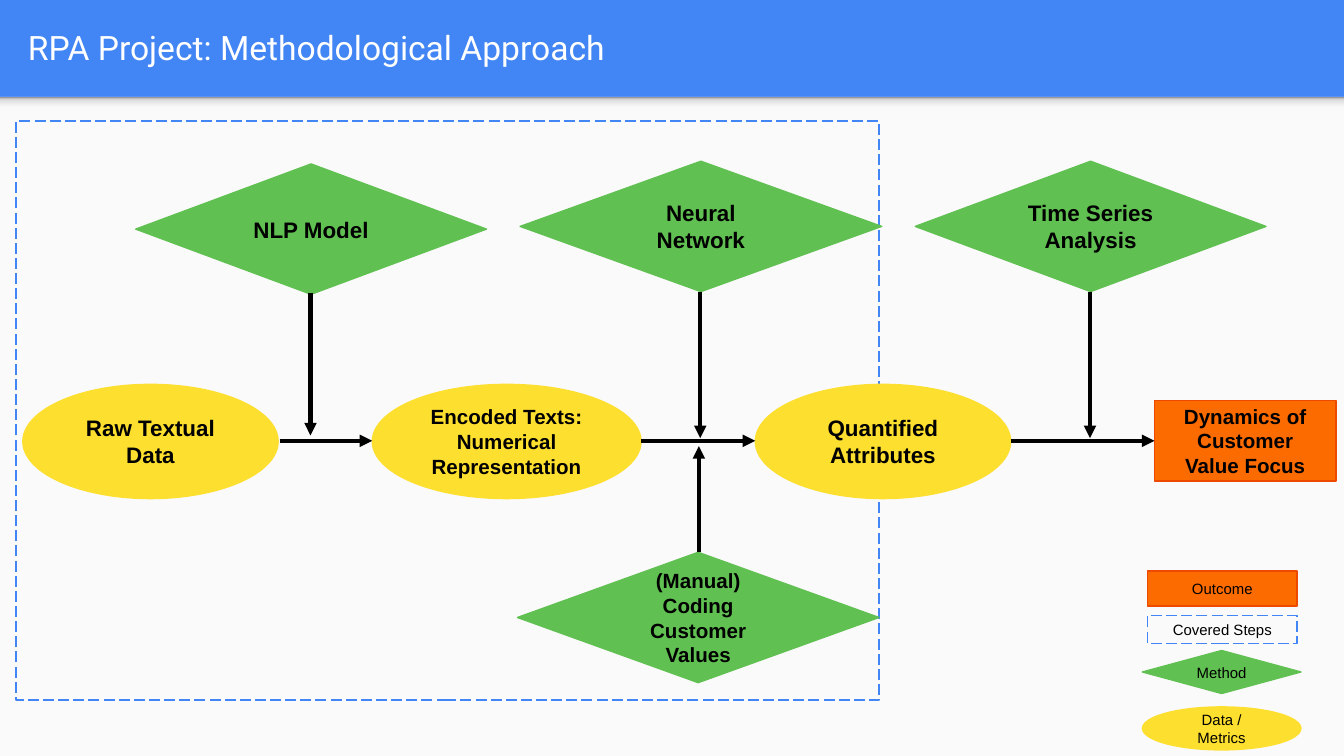
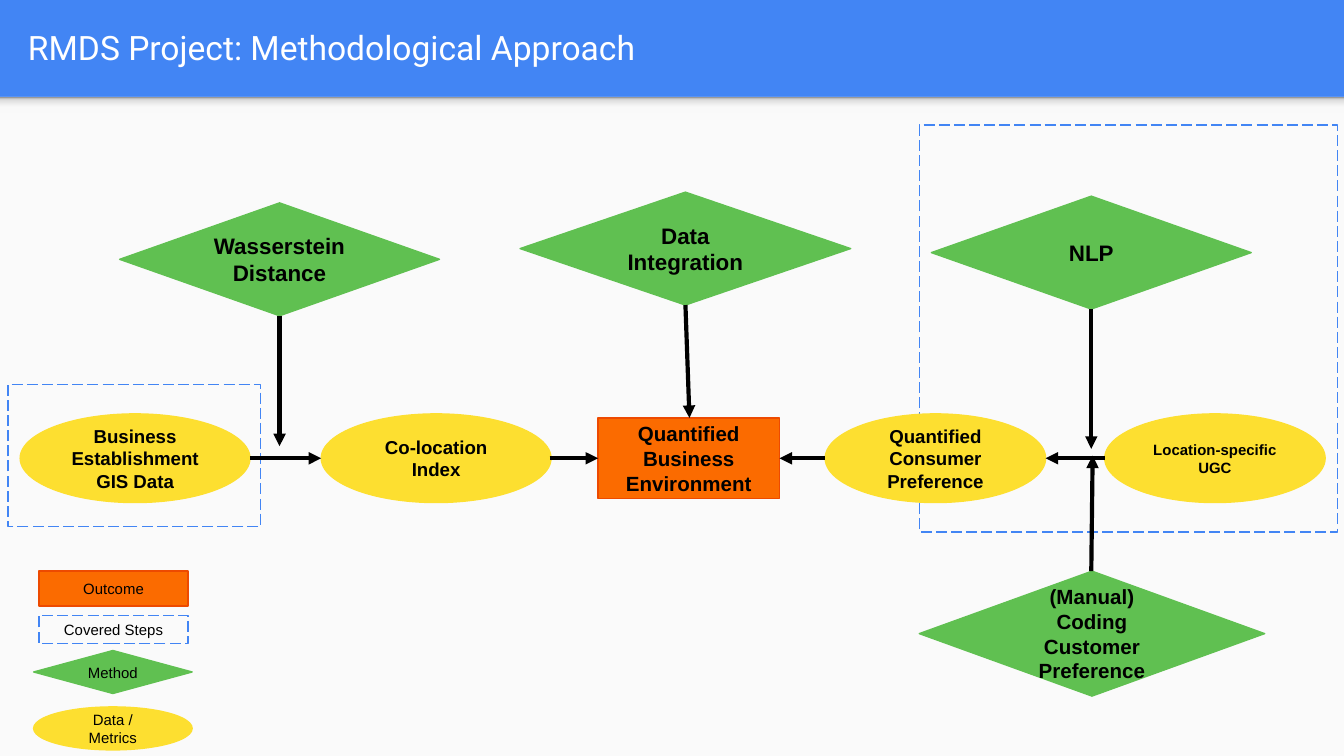
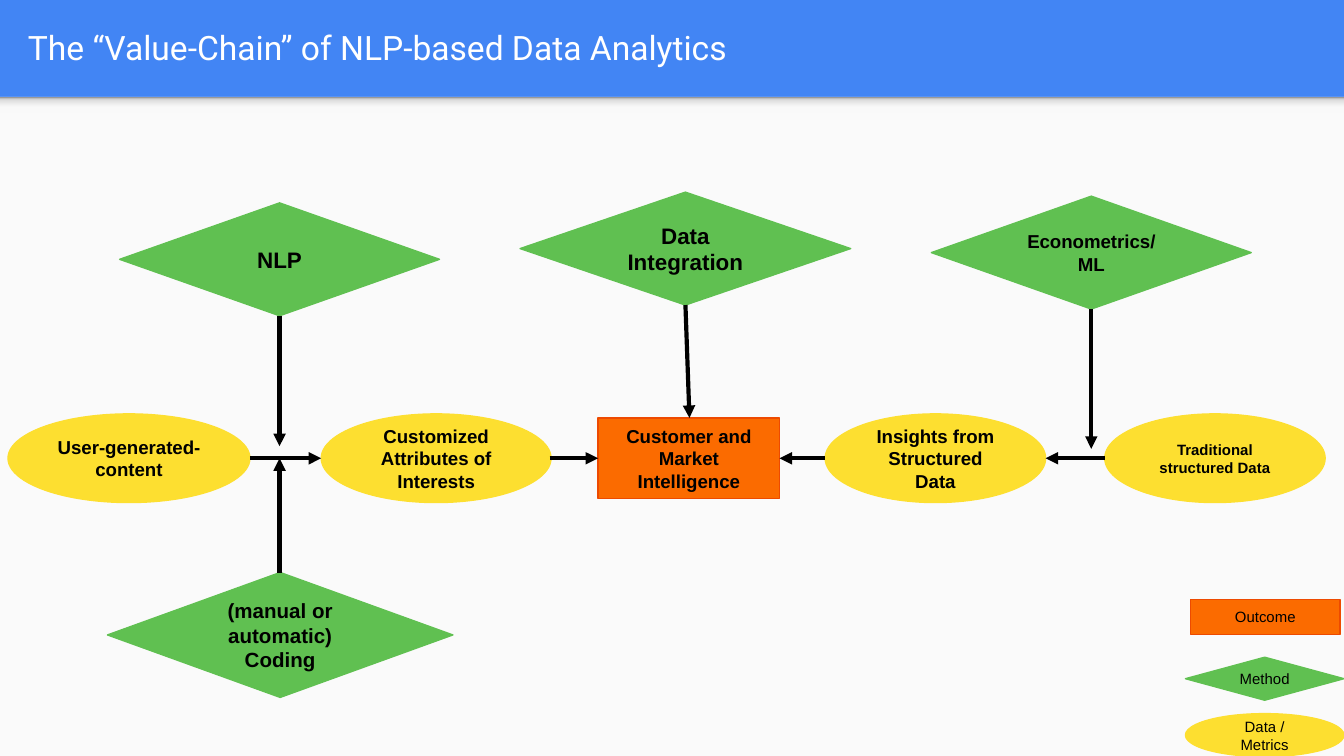
from pptx import Presentation
from pptx.dml.color import RGBColor
from pptx.enum.dml import MSO_LINE
from pptx.enum.shapes import MSO_CONNECTOR, MSO_SHAPE
from pptx.enum.text import MSO_ANCHOR, PP_ALIGN
from pptx.oxml.ns import qn
from pptx.util import Inches, Pt
from lxml.etree import SubElement

BLUE, PAPER, WHITE, BLACK = "4285F4", "FAFAFA", "FFFFFF", "000000"
YELLOW, GREEN, ORANGE, RUST = "FDDF30", "60C051", "FB6B00", "ED4A00"
SHADE = [(0, "F9F9F9"), (36, "F9F9F9"), (80, "DEDEDE"), (100, "999999")]
WIDTH, BAND = 10, 0.72
HEIGHT = WIDTH * 9 / 16


def rgb(value):
    return RGBColor.from_string(value)


class Deck:
    """Holds the flowchart style and draws on the current slide."""

    def __init__(self):
        self.prs = Presentation()
        self.prs.slide_width, self.prs.slide_height = Inches(WIDTH), Inches(HEIGHT)

    def slide(self, title):
        s = self.prs.slides.add_slide(self.prs.slide_layouts[6])
        self.shapes = s.shapes
        s.background.fill.solid()
        s.background.fill.fore_color.rgb = rgb(BLUE)
        self.shape(MSO_SHAPE.RECTANGLE, (0, BAND, WIDTH, HEIGHT - BAND), PAPER)
        self.shade()
        tb = s.shapes.add_textbox(*map(Inches, (0.11, 0.02, 9.65, 0.66)))
        self.text(tb.text_frame, title, 18, False, "Roboto", WHITE, PP_ALIGN.LEFT)

    def shade(self):
        sp = self.shape(MSO_SHAPE.RECTANGLE, (0, BAND, WIDTH, 0.12), PAPER)
        sp.fill.gradient()
        sp.fill.gradient_angle = 90
        stops = sp._element.spPr.find(qn("a:gradFill")).find(qn("a:gsLst"))
        for old in list(stops):
            stops.remove(old)
        for pos, color in SHADE:
            gs = SubElement(stops, qn("a:gs"), pos=str(pos * 1000))
            SubElement(gs, qn("a:srgbClr"), val=color)

    def text(self, tf, text, size, bold, font="Arial", color=BLACK, align=PP_ALIGN.CENTER):
        tf.word_wrap = True
        tf.vertical_anchor = MSO_ANCHOR.MIDDLE
        tf.margin_left = tf.margin_right = tf.margin_top = tf.margin_bottom = Inches(0.1)
        tf.text = text
        for p in tf.paragraphs:
            p.alignment = align
            p.font.name, p.font.size, p.font.bold = font, Pt(size), bold
            p.font.color.rgb = rgb(color)

    def shape(self, kind, box, fill=None, line=None, text="", size=12, bold=True):
        sp = self.shapes.add_shape(kind, *map(Inches, box))
        sp.shadow.inherit = False
        if fill:
            sp.fill.solid()
            sp.fill.fore_color.rgb = rgb(fill)
        else:
            sp.fill.background()
        if line:
            sp.line.color.rgb = rgb(line)
            sp.line.width = Pt(0.75)
        else:
            sp.line.fill.background()
        if text:
            self.text(sp.text_frame, text, size, bold)
        return sp

    def data(self, box, text, size=12, bold=True):
        self.shape(MSO_SHAPE.OVAL, box, YELLOW, YELLOW, text, size, bold)

    def method(self, box, text, size=12, bold=True):
        self.shape(MSO_SHAPE.DIAMOND, box, GREEN, GREEN, text, size, bold)

    def outcome(self, box, text, size=11, bold=True):
        self.shape(MSO_SHAPE.RECTANGLE, box, ORANGE, RUST, text, size, bold)

    def covered(self, box, text=""):
        sp = self.shape(MSO_SHAPE.RECTANGLE, box, None, BLUE, text, 8, False)
        sp.line.dash_style = MSO_LINE.LONG_DASH

    def arrow(self, *ends):
        c = self.shapes.add_connector(MSO_CONNECTOR.STRAIGHT, *map(Inches, ends))
        c.line.color.rgb = rgb(BLACK)
        c.line.width = Pt(2.25)
        SubElement(c.line._get_or_add_ln(), qn("a:tailEnd"), type="triangle")
        SubElement(c._element.spPr, qn("a:effectLst"))

    def legend(self, x, y, covered=True):
        slide_shapes = self.shapes
        self.shapes = slide_shapes.add_group_shape().shapes
        self.outcome((x + 0.04, y, 1.11, 0.26), "Outcome", 8, False)
        if covered:
            self.covered((x + 0.04, y + 0.33, 1.11, 0.21), "Covered Steps")
        y += 0.59 if covered else 0.43
        self.method((x, y, 1.18, 0.32), "Method", 8, False)
        self.data((x, y + 0.42, 1.18, 0.32), "Data / Metrics", 8, False)
        self.shapes = slide_shapes

    def converging_flow(self, source_x, data, methods, outcome, outcome_size):
        """Draws two data chains that meet in one outcome."""
        spans = [(source_x, 1.86 - source_x), (2.39, 1.71), (6.14, 1.64), (8.22, 1.64)]
        for (x, w), text, size in zip(spans, data, (10, 10, 10, 8)):
            self.data((x, 3.08, w, 0.66), text, size)
        places = [(0.89, 1.51, 2.38), (3.87, 1.43, 2.46), (6.93, 1.46, 2.38)]
        for (x, y, w), (text, size) in zip(places, methods):
            self.method((x, y, w, 0.84), text, size)
        self.outcome((4.45, 3.11, 1.35, 0.6), outcome, outcome_size)
        for start, end in [(1.86, 2.39), (4.09, 4.45), (6.14, 5.8), (8.22, 7.78)]:
            self.arrow(start, 3.41, end, 3.41)
        self.arrow(2.08, 2.35, 2.08, 3.32)
        self.arrow(5.1, 2.27, 5.13, 3.11)
        self.arrow(8.12, 2.3, 8.12, 3.34)


def rpa_slide(deck):
    deck.slide("RPA Project: Methodological Approach")
    deck.covered((0.12, 0.9, 6.42, 4.31))
    for x, w, text, size in [(0.17, 1.9, "Raw Textual Data", 12),
                             (2.77, 2, "Encoded Texts: Numerical Representation", 11),
                             (5.62, 1.9, "Quantified Attributes", 12)]:
        deck.data((x, 2.86, w, 0.85), text, size)
    for x, y, w, text, size in [(1.01, 1.22, 2.61, "NLP Model", 12),
                                (3.87, 1.2, 2.69, "Neural Network", 12),
                                (6.81, 1.2, 2.61, "Time Series Analysis", 12),
                                (3.85, 4.11, 2.69, "(Manual) Coding Customer Values", 11)]:
        deck.method((x, y, w, 0.97), text, size)
    deck.outcome((8.59, 2.98, 1.35, 0.6), "Dynamics of Customer Value Focus")
    for start, end in [(2.08, 2.77), (4.77, 5.62), (7.52, 8.59)]:
        deck.arrow(start, 3.28, end, 3.28)
    for x, start, end in [(2.31, 2.18, 3.24), (5.21, 2.17, 3.26),
                          (8.11, 2.17, 3.26), (5.2, 4.11, 3.32)]:
        deck.arrow(x, start, x, end)
    deck.legend(8.5, 4.25)


def rmds_slide(deck):
    deck.slide("RMDS Project: Methodological Approach")
    deck.covered((0.06, 2.86, 1.88, 1.06))
    deck.covered((6.84, 0.93, 3.11, 3.03))
    deck.converging_flow(
        0.15,
        ["Business Establishment GIS Data", "Co-location Index",
         "Quantified Consumer Preference", "Location-specific UGC"],
        [("Wasserstein Distance", 12), ("Data Integration", 12), ("NLP", 12)],
        "Quantified Business Environment", 11)
    deck.method((6.84, 4.25, 2.57, 0.93), "(Manual) Coding Customer Preference", 11)
    deck.arrow(8.12, 4.25, 8.13, 3.39)
    deck.legend(0.25, 4.25)


def value_chain_slide(deck):
    deck.slide("The “Value-Chain” of NLP-based Data Analytics")
    deck.converging_flow(
        0.06,
        ["User-generated-content", "Customized Attributes of Interests",
         "Insights from Structured Data", "Traditional structured Data"],
        [("NLP", 12), ("Data Integration", 12), ("Econometrics/ML", 10)],
        "Customer and Market Intelligence", 10)
    deck.method((0.8, 4.26, 2.57, 0.93), "(manual or automatic)\nCoding", 11)
    deck.arrow(2.08, 4.26, 2.08, 3.41)
    deck.legend(8.82, 4.46, covered=False)


def main():
    deck = Deck()
    rpa_slide(deck)
    rmds_slide(deck)
    value_chain_slide(deck)
    deck.prs.save("out.pptx")


if __name__ == "__main__":
    main()
